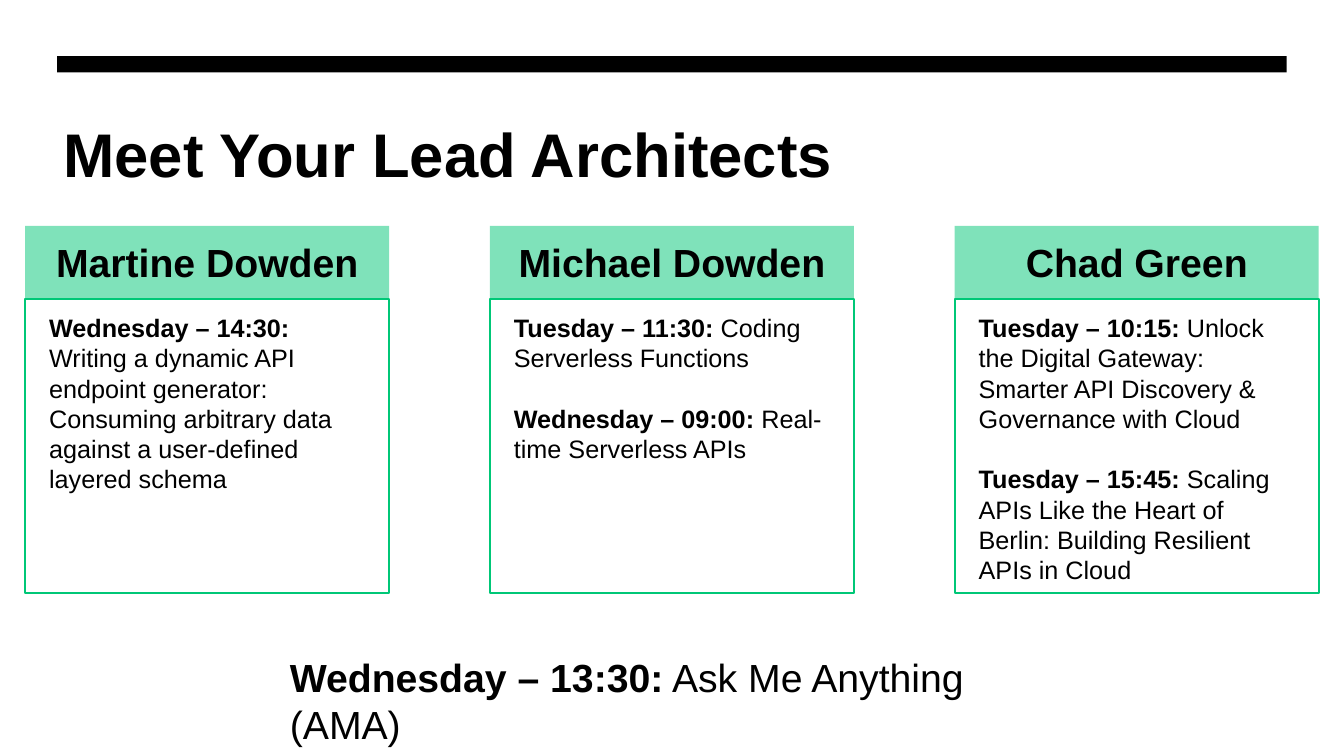
from dataclasses import dataclass

import pptx
import pptx.dml.color
import pptx.enum.shapes
import pptx.enum.text
import pptx.oxml
import pptx.oxml.ns
import pptx.util

Pt = pptx.util.Pt
ALIGN = pptx.enum.text.PP_ALIGN
BLACK = "000000"
GREEN = "00C777"
WHITE = "FFFFFF"
LEFT, PITCH, WIDTH = 18, 332, 260


@dataclass
class Box:
    x: float
    y: float
    w: float
    h: float


@dataclass
class Talk:
    time: str
    name: str


@dataclass
class Card:
    host: str
    talks: list[Talk]


CARDS = [
    Card("Martine Dowden", [
        Talk("Wednesday – 14:30:", "Writing a dynamic API endpoint generator: "
             "Consuming arbitrary data against a user-defined layered schema"),
    ]),
    Card("Michael Dowden", [
        Talk("Tuesday – 11:30:", "Coding Serverless Functions"),
        Talk("Wednesday – 09:00:", "Real-time Serverless APIs"),
    ]),
    Card("Chad Green", [
        Talk("Tuesday – 10:15:", "Unlock the Digital Gateway: "
             "Smarter API Discovery & Governance with Cloud"),
        Talk("Tuesday – 15:45:", "Scaling APIs Like the Heart of Berlin: "
             "Building Resilient APIs in Cloud"),
    ]),
]


def tint(part, shade: str) -> None:
    part.rgb = pptx.dml.color.RGBColor.from_string(shade)


def panel(slide, box: Box, fill: str, edge: str = "", alpha: int = 100) -> None:
    kind = pptx.enum.shapes.MSO_SHAPE.RECTANGLE
    shape = slide.shapes.add_shape(kind, Pt(box.x), Pt(box.y), Pt(box.w), Pt(box.h))
    shape.shadow.inherit = False
    shape.fill.solid()
    tint(shape.fill.fore_color, fill)
    if edge:
        tint(shape.line.color, edge)
        shape.line.width = Pt(1.5)
    else:
        shape.line.fill.background()
    if alpha < 100:
        node = shape.fill._xPr.find(".//" + pptx.oxml.ns.qn("a:srgbClr"))
        space = pptx.oxml.ns.nsdecls("a")
        node.append(pptx.oxml.parse_xml(f'<a:alpha {space} val="{alpha * 1000}"/>'))


def write(slide, box: Box, size: float, talks: list[Talk],
          align=ALIGN.LEFT, inset: tuple[float, float] = (7.2, 3.6)) -> None:
    text = slide.shapes.add_textbox(Pt(box.x), Pt(box.y), Pt(box.w), Pt(box.h))
    frame = text.text_frame
    frame.word_wrap = True
    frame.margin_left, frame.margin_top = Pt(inset[0]), Pt(inset[1])
    for rank, talk in enumerate(talks):
        para = frame.add_paragraph() if rank else frame.paragraphs[0]
        para.alignment = align
        para.line_spacing = Pt(size * 1.2)
        if rank:
            para.space_before = Pt(size * 1.2)
        for words, bold in ((talk.time, True), (talk.name, False)):
            if words:
                run = para.add_run()
                run.text = words if bold else " " + words
                run.font.name = "Arial"
                run.font.size = Pt(size)
                run.font.bold = bold
                tint(run.font.color, BLACK)


def main() -> None:
    deck = pptx.Presentation()
    deck.slide_width, deck.slide_height = Pt(960), Pt(540)
    slide = deck.slides.add_slide(deck.slide_layouts[6])

    panel(slide, Box(40.8, 40.2, 878.2, 11.5), BLACK)
    write(slide, Box(40.8, 77, 878.2, 115), 44,
          [Talk("Meet Your Lead Architects", "")], inset=(4.5, 6))

    for rank, card in enumerate(CARDS):
        x = LEFT + rank * PITCH
        panel(slide, Box(x, 161.3, WIDTH, 52.5), GREEN, alpha=50)
        write(slide, Box(x, 167, WIDTH, 41), 28, [Talk(card.host, "")], ALIGN.CENTER)
        panel(slide, Box(x, 213.8, WIDTH, 209.5), WHITE, GREEN)
        write(slide, Box(x + 10, 219.6, WIDTH - 20, 203.7), 18, card.talks)

    write(slide, Box(200, 463, 560, 41), 28,
          [Talk("Wednesday – 13:30:", "Ask Me Anything (AMA)")])
    deck.save("out.pptx")


if __name__ == "__main__":
    main()
